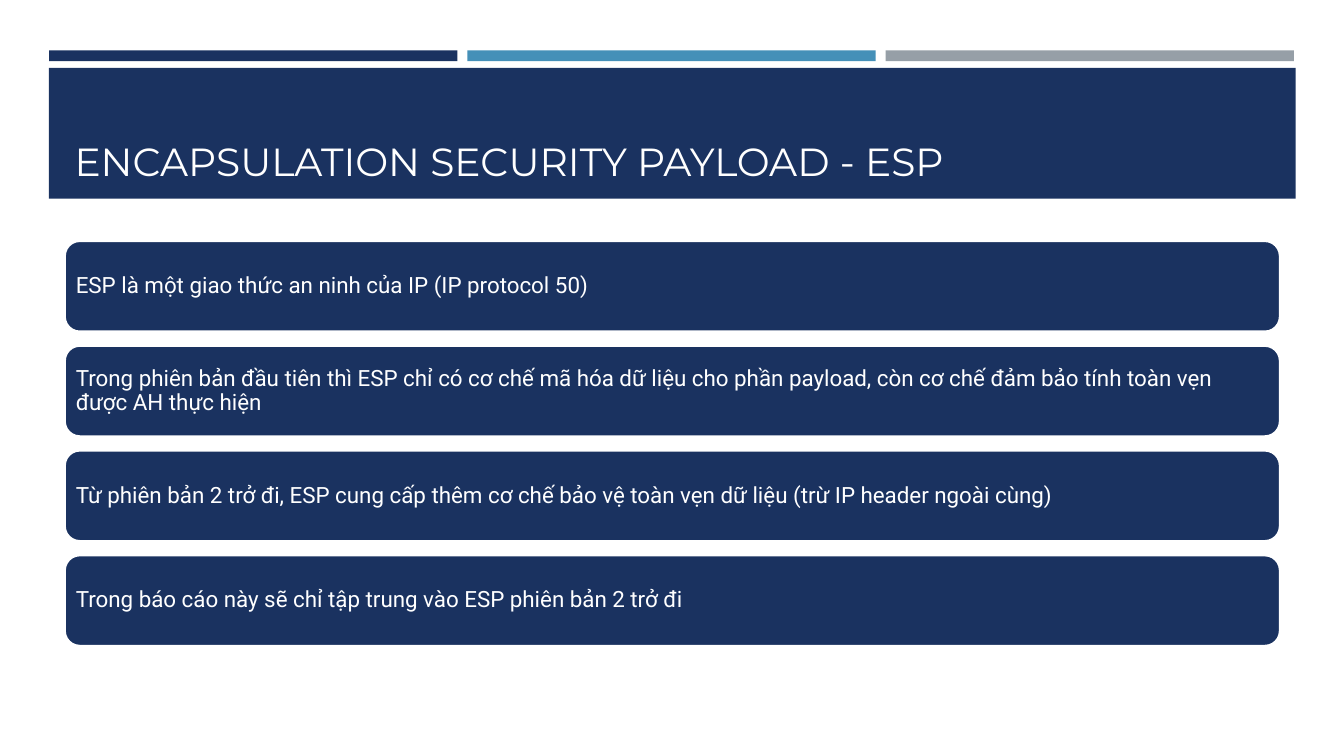
"""Build the slide introducing the Encapsulation Security Payload protocol."""
from pptx import Presentation
from pptx.dml.color import RGBColor
from pptx.enum.shapes import MSO_SHAPE as Shape
from pptx.enum.text import MSO_ANCHOR as Anchor, PP_ALIGN as Align
from pptx.util import Cm, Pt

NAVY, BLUE, GREY, WHITE = "1A3260", "4590B8", "969FA7", "FFFFFF"
STATEMENTS = [
    "ESP là một giao thức an ninh của IP (IP protocol 50)",
    "Trong phiên bản đầu tiên thì ESP chỉ có cơ chế mã hóa dữ liệu cho phần payload, "
    "còn cơ chế đảm bảo tính toàn vẹn được AH thực hiện",
    "Từ phiên bản 2 trở đi, ESP cung cấp thêm cơ chế bảo vệ toàn vẹn dữ liệu "
    "(trừ IP header ngoài cùng)",
    "Trong báo cáo này sẽ chỉ tập trung vào ESP phiên bản 2 trở đi",
]


def add_block(kind, left, top, width, height, color):
    shape = slide.shapes.add_shape(kind, Cm(left), Cm(top), Cm(width), Cm(height))
    shape.shadow.inherit = False
    shape.fill.solid()
    shape.fill.fore_color.rgb = RGBColor.from_string(color)
    shape.line.fill.background()
    return shape


def write(shape, text, font_name, size, anchor):
    frame = shape.text_frame
    frame.word_wrap = True
    frame.vertical_anchor = anchor
    frame.text = text
    paragraph = frame.paragraphs[0]
    paragraph.alignment = Align.LEFT
    font = paragraph.runs[0].font
    font.name = font_name
    font.size = Pt(size)
    font.color.rgb = RGBColor.from_string(WHITE)


presentation = Presentation()
presentation.slide_width = Cm(33.87)
presentation.slide_height = Cm(19.05)
slide = presentation.slides.add_slide(presentation.slide_layouts[6])

for column, color in enumerate([NAVY, BLUE, GREY]):
    add_block(Shape.RECTANGLE, 1.24 + column * 10.54, 1.27, 10.29, 0.27, color)

add_block(Shape.RECTANGLE, 1.23, 1.71, 31.42, 3.3, NAVY)
title = slide.shapes.add_textbox(Cm(1.63), Cm(1.96), Cm(30.63), Cm(2.82))
write(title, "ENCAPSULATION SECURITY PAYLOAD - ESP", "Montserrat", 28, Anchor.BOTTOM)

for row, statement in enumerate(STATEMENTS):
    box = add_block(Shape.ROUNDED_RECTANGLE, 1.63, 6.07 + row * 2.64, 30.63, 2.29, NAVY)
    box.line.color.rgb = RGBColor.from_string(WHITE)
    box.line.width = Pt(1.75)
    write(box, statement, "Roboto", 16, Anchor.MIDDLE)
    frame = box.text_frame
    frame.margin_left = frame.margin_right = Cm(0.17)
    frame.margin_top = frame.margin_bottom = Cm(0.17)
    frame.paragraphs[0].line_spacing = 0.9

presentation.save("out.pptx")
